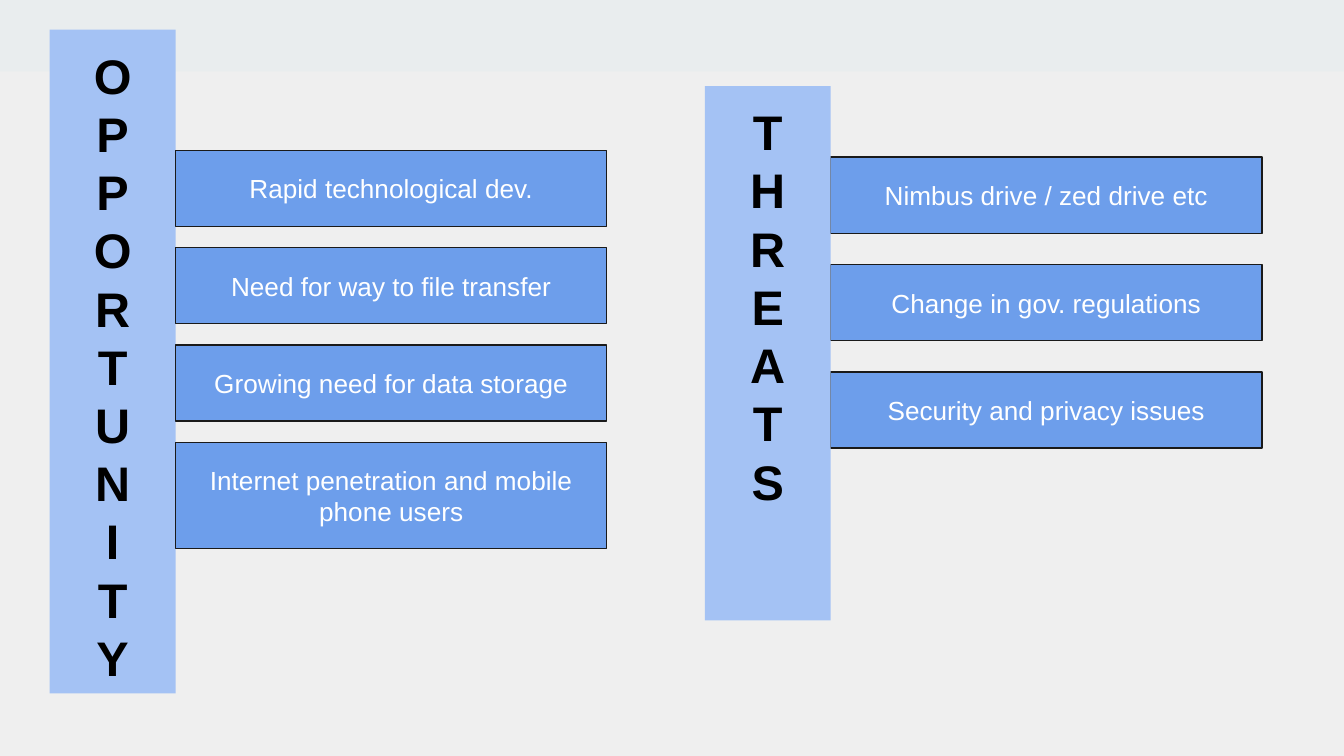
from pptx import Presentation
from pptx.dml.color import RGBColor
from pptx.enum.shapes import MSO_SHAPE
from pptx.enum.text import MSO_ANCHOR, PP_ALIGN
from pptx.util import Cm, Pt

RECT = MSO_SHAPE.RECTANGLE
TOP, MIDDLE = MSO_ANCHOR.TOP, MSO_ANCHOR.MIDDLE
CENTER = PP_ALIGN.CENTER

BACKGROUND = RGBColor(0xEF, 0xEF, 0xEF)
BAND = RGBColor(0xE9, 0xED, 0xEE)
LIGHT_BLUE = RGBColor(0xA4, 0xC2, 0xF4)
BLUE = RGBColor(0x6D, 0x9E, 0xEB)
OUTLINE = RGBColor(0x1A, 0x1A, 0x1A)
BLACK = RGBColor(0x00, 0x00, 0x00)
WHITE = RGBColor(0xFF, 0xFF, 0xFF)

FONT = "Arial"
LEADING = 1.2
INSET = 0.25
BAR_W = 2.38
BOX_W = 8.15
BOX_H = 1.44

OPPORTUNITIES = [
    ("Rapid technological dev.", BOX_H),
    ("Need for way to file transfer", BOX_H),
    ("Growing need for data storage", BOX_H),
    ("Internet penetration and mobile phone users", 2.01),
]
THREATS = [
    ("Nimbus drive / zed drive etc", BOX_H),
    ("Change in gov. regulations", BOX_H),
    ("Security and privacy issues", BOX_H),
]


def add_rect(s, x, y, w, h, fill, line=None):
    sp = s.shapes.add_shape(RECT, Cm(x), Cm(y), Cm(w), Cm(h))
    sp.shadow.inherit = False
    sp.fill.solid()
    sp.fill.fore_color.rgb = fill
    if line is None:
        sp.line.fill.background()
    else:
        sp.line.color.rgb = line
        sp.line.width = Pt(0.75)
    return sp


def write(sp, lines, *, size, color, bold=False, anchor=MIDDLE, top=INSET):
    """Fill a shape with one centred paragraph per line."""
    tf = sp.text_frame
    tf.word_wrap = True
    tf.vertical_anchor = anchor
    tf.margin_left = tf.margin_right = tf.margin_bottom = Cm(INSET)
    tf.margin_top = Cm(top)
    for i, line in enumerate(lines):
        p = tf.add_paragraph() if i else tf.paragraphs[0]
        p.alignment = CENTER
        p.line_spacing = Pt(size * LEADING)
        r = p.add_run()
        r.text = line
        r.font.name = FONT
        r.font.size = Pt(size)
        r.font.bold = bold
        r.font.color.rgb = color


def add_title_bar(s, word, x, y, h):
    """Vertical title, one letter to a line."""
    sp = add_rect(s, x, y, BAR_W, h, LIGHT_BLUE)
    write(sp, word, size=26, color=BLACK, bold=True, anchor=TOP, top=0.3)


def add_boxes(s, items, x, y, pitch):
    for i, (text, h) in enumerate(items):
        sp = add_rect(s, x, y + i * pitch, BOX_W, h, BLUE, OUTLINE)
        write(sp, [text], size=14, color=WHITE)


def main():
    prs = Presentation()
    prs.slide_width, prs.slide_height = Cm(25.4), Cm(14.29)
    s = prs.slides.add_slide(prs.slide_layouts[6])

    # Background and top band
    s.background.fill.solid()
    s.background.fill.fore_color.rgb = BACKGROUND
    add_rect(s, 0, 0, 25.4, 1.35, BAND)

    # Opportunities: boxes to the right of the bar
    bar_x = 0.94
    add_title_bar(s, "OPPORTUNITY", bar_x, 0.56, 12.55)
    add_boxes(s, OPPORTUNITIES, bar_x + BAR_W, 2.84, 1.84)

    # Threats: the bar lies over the left edge of the boxes
    bar_x = 13.32
    add_boxes(s, THREATS, bar_x + BAR_W, 2.97, 2.03)
    add_title_bar(s, "THREATS", bar_x, 1.63, 10.1)

    prs.save("out.pptx")


if __name__ == "__main__":
    main()
